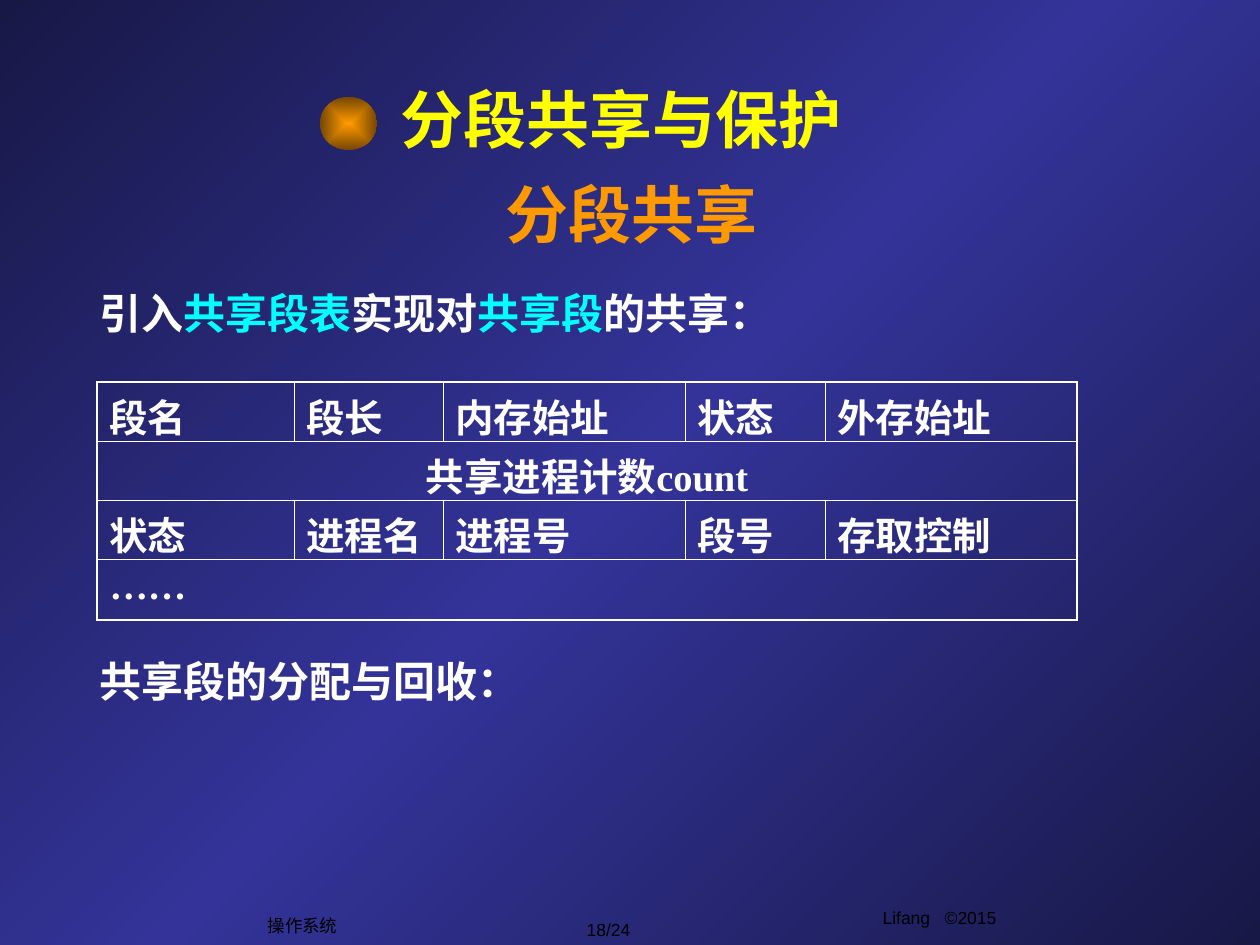
from dataclasses import dataclass

from lxml import etree
from pptx import Presentation
from pptx.dml.color import RGBColor
from pptx.enum.shapes import MSO_SHAPE
from pptx.enum.text import MSO_ANCHOR, MSO_AUTO_SIZE, PP_ALIGN
from pptx.oxml.ns import qn
from pptx.util import Emu, Pt

LEFT, CENTER = PP_ALIGN.LEFT, PP_ALIGN.CENTER
TOP, MIDDLE, BOTTOM = MSO_ANCHOR.TOP, MSO_ANCHOR.MIDDLE, MSO_ANCHOR.BOTTOM
GROW, FIXED = MSO_AUTO_SIZE.SHAPE_TO_FIT_TEXT, MSO_AUTO_SIZE.NONE
OVAL = MSO_SHAPE.OVAL
PX_PER_INCH = 126


@dataclass(frozen=True)
class Theme:
    navy: str = "181847"
    indigo: str = "333399"
    white: str = "FFFFFF"
    black: str = "000000"
    cyan: str = "00FFFF"
    yellow: str = "FFFF00"
    orange: str = "FF9900"
    brown: str = "764700"
    body_font: str = "Times New Roman"
    heading_font: str = "Noto Sans CJK SC"
    footer_font: str = "Arial"
    heading_size: int = 36
    body_size: int = 24
    table_size: int = 22
    footer_size: int = 10
    outer_line: float = 1.08
    inner_line: float = 0.45


THEME = Theme()
HEADING = dict(font=THEME.heading_font, size=THEME.heading_size, align=CENTER)
FOOTER = dict(font=THEME.footer_font, size=THEME.footer_size,
              color=THEME.black, bold=False, align=CENTER)


def px(length):
    return Emu(round(length * 914400 / PX_PER_INCH))


def write_text(frame, text, font=THEME.body_font, size=THEME.body_size,
               color=THEME.white, bold=True, align=LEFT):
    """Write a string, or a list of (string, colour) runs, as one paragraph."""
    paragraph = frame.paragraphs[0]
    paragraph.alignment = align
    runs = [(text, color)] if isinstance(text, str) else text
    for words, run_color in runs:
        run = paragraph.add_run()
        run.text = words
        run.font.name = font
        run.font.size = Pt(size)
        run.font.bold = bold
        run.font.color.rgb = RGBColor.from_string(run_color)
        east_asian = etree.SubElement(run.font._element, qn("a:ea"))
        east_asian.set("typeface", THEME.heading_font)


def add_text(slide, box, text, anchor=TOP, wrap=True, auto_size=GROW, **text_format):
    frame = slide.shapes.add_textbox(*map(px, box)).text_frame
    frame.word_wrap = wrap
    frame.auto_size = auto_size
    frame.vertical_anchor = anchor
    write_text(frame, text, **text_format)


def set_gradient(fill, parent, stops, angle=None):
    """Linear gradient at an angle, or one from the centre if no angle is given."""
    fill.gradient()
    gradient = parent.find(".//" + qn("a:gradFill"))
    for child in list(gradient):
        gradient.remove(child)
    stop_list = etree.SubElement(gradient, qn("a:gsLst"))
    for percent, color in stops:
        stop = etree.SubElement(stop_list, qn("a:gs"), pos=str(percent * 1000))
        etree.SubElement(stop, qn("a:srgbClr"), val=color)
    if angle is not None:
        etree.SubElement(gradient, qn("a:lin"), ang=str(angle * 60000), scaled="0")
    else:
        direction = etree.SubElement(gradient, qn("a:path"), path="rect")
        etree.SubElement(direction, qn("a:fillToRect"),
                         dict.fromkeys("ltrb", "50000"))


def add_bullet_ball(slide, box):
    ball = slide.shapes.add_shape(OVAL, *map(px, box))
    ball.shadow.inherit = False
    ball.line.fill.background()
    set_gradient(ball.fill, ball._element.spPr, [(0, THEME.orange), (100, THEME.brown)])


def set_borders(cell, outer_sides):
    properties = cell._tc.get_or_add_tcPr()
    for side in "LRTB":
        width = THEME.outer_line if side in outer_sides else THEME.inner_line
        line = etree.SubElement(properties, qn("a:ln" + side), w=str(Pt(width)))
        fill = etree.SubElement(line, qn("a:solidFill"))
        etree.SubElement(fill, qn("a:srgbClr"), val=THEME.white)


def add_segment_table(slide, left, top, widths, heights, rows):
    """Add the table; a row with a single text spans all columns."""
    frame = slide.shapes.add_table(len(heights), len(widths), px(left), px(top),
                                   px(sum(widths)), px(sum(heights)))
    table = frame.table
    table.first_row = table.horz_banding = False
    for column, width in zip(table.columns, widths):
        column.width = px(width)
    for row, height in zip(table.rows, heights):
        row.height = px(height)

    last_row, last_column = len(heights) - 1, len(widths) - 1
    for r, (texts, align) in enumerate(rows):
        if len(texts) == 1:
            table.cell(r, 0).merge(table.cell(r, last_column))
        for c in range(len(widths)):
            cell = table.cell(r, c)
            edges = {"L": c == 0, "R": c == last_column,
                     "T": r == 0, "B": r == last_row}
            if cell.is_merge_origin:
                edges["R"] = True
            set_borders(cell, [side for side, outer in edges.items() if outer])
            cell.fill.background()
            if c < len(texts):
                write_text(cell.text_frame, texts[c], size=THEME.table_size, align=align)


def main():
    presentation = Presentation()
    presentation.slide_width, presentation.slide_height = px(1260), px(945)
    slide = presentation.slides.add_slide(presentation.slide_layouts[6])
    set_gradient(slide.background.fill, slide._element,
                 [(0, THEME.navy), (50, THEME.indigo), (100, THEME.navy)], angle=45)

    # Footer
    add_text(slide, (740, 901, 399, 44), "Lifang   ©2015", auto_size=FIXED, **FOOTER)
    for box, text in [((544, 912, 129, 34), "18/24"), ((255, 908, 95, 34), "操作系统")]:
        add_text(slide, box, text, anchor=MIDDLE, wrap=False, **FOOTER)

    # Introduction to the shared segment table
    add_text(slide, (87, 281, 706, 63), [
        ("引入", THEME.white), ("共享段表", THEME.cyan), ("实现对", THEME.white),
        ("共享段", THEME.cyan), ("的共享：", THEME.white)])
    add_bullet_ball(slide, (320, 97, 57, 53))

    # Shared segment table
    add_segment_table(slide, 97, 382, [197, 149, 242, 140, 252], [59, 59, 59, 61], [
        (["段名", "段长", "内存始址", "状态", "外存始址"], LEFT),
        (["共享进程计数count"], CENTER),
        (["状态", "进程名", "进程号", "段号", "存取控制"], LEFT),
        (["……"], LEFT)])
    add_text(slide, (87, 649, 706, 63), "共享段的分配与回收：")

    # Title and subtitle
    add_text(slide, (100, 74, 1041, 88), "分段共享与保护", anchor=MIDDLE,
             auto_size=FIXED, color=THEME.yellow, **HEADING)
    add_text(slide, (111, 169, 1041, 88), "分段共享", anchor=BOTTOM,
             color=THEME.orange, **HEADING)

    presentation.save("out.pptx")


if __name__ == "__main__":
    main()
